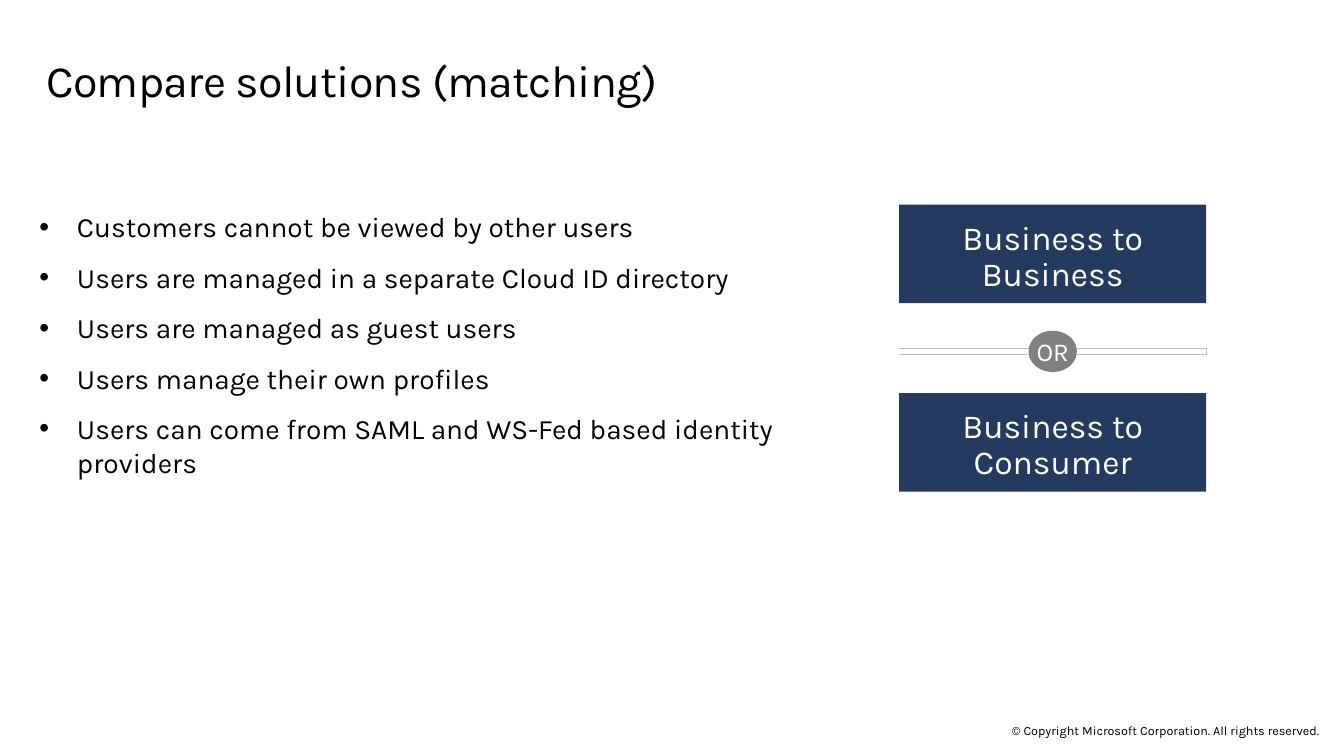
import pptx
import pptx.util
import pptx.dml.color
import pptx.enum.shapes
import pptx.enum.text

Cm = pptx.util.Cm
Pt = pptx.util.Pt
RGBColor = pptx.dml.color.RGBColor
Shape = pptx.enum.shapes.MSO_SHAPE
Align = pptx.enum.text.PP_ALIGN
Anchor = pptx.enum.text.MSO_ANCHOR

BLACK = RGBColor(0x00, 0x00, 0x00)
WHITE = RGBColor(0xFF, 0xFF, 0xFF)
NAVY = RGBColor(0x24, 0x3A, 0x5E)
GRAY = RGBColor(0x80, 0x80, 0x80)
SILVER = RGBColor(0xBF, 0xBF, 0xBF)

STATEMENTS = [
    "Customers cannot be viewed by other users",
    "Users are managed in a separate Cloud ID directory",
    "Users are managed as guest users",
    "Users manage their own profiles",
    "Users can come from SAML and WS-Fed based identity providers",
]
SOLUTIONS = ["Business to Business", "Business to Consumer"]

SOLUTION_LEFT, SOLUTION_TOP = 22.66, 5.16
SOLUTION_WIDTH, SOLUTION_HEIGHT = 7.74, 2.48
SOLUTION_PITCH = 4.75
CENTER_X = SOLUTION_LEFT + SOLUTION_WIDTH / 2
CENTER_Y = SOLUTION_TOP + (SOLUTION_PITCH + SOLUTION_HEIGHT) / 2 + 0.08


class SlideBuilder:
    font_name = "Karla"

    def __init__(self, page):
        self.page = page

    def place(self, box, left, top, width, height):
        box.left, box.top = Cm(left), Cm(top)
        box.width, box.height = Cm(width), Cm(height)

    def frame(self, box, margins, anchor=Anchor.TOP, wrap=True):
        """Set the insets (left, top, right, bottom in cm), anchor and wrap."""
        text_frame = box.text_frame
        text_frame.auto_size = pptx.enum.text.MSO_AUTO_SIZE.NONE
        text_frame.word_wrap = wrap
        text_frame.vertical_anchor = anchor
        (text_frame.margin_left, text_frame.margin_top,
         text_frame.margin_right, text_frame.margin_bottom) = map(Cm, margins)

    def style(self, box, size, color, align, line_spacing=1.0, space_after=0):
        for para in box.text_frame.paragraphs:
            para.alignment = align
            para.line_spacing = line_spacing
            para.space_before = Pt(0)
            para.space_after = Pt(space_after)
            for span in para.runs:
                span.font.name = self.font_name
                span.font.size = Pt(size)
                span.font.color.rgb = color

    def title(self, text):
        box = self.page.shapes.title
        self.place(box, 1.17, 1.22, 31.5, 1.88)
        box.text_frame.text = text
        self.frame(box, (0, 0.25, 0.41, 0.25))
        self.style(box, 32, BLACK, Align.LEFT, 0.9)
        span = box.text_frame.paragraphs[0].runs[0]
        span.font._element.set("spc", "-50")

    def bullets(self, items):
        box = self.page.placeholders[1]
        self.place(box, 0.74, 5.16, 19.99, 8.38)
        box.text_frame.text = "\n".join(items)
        self.frame(box, (0.25, 0.13, 0.25, 0.13))
        for para in box.text_frame.paragraphs:
            properties = para._p.get_or_add_pPr()
            properties.set("marL", str(Cm(0.95)))
            properties.set("indent", str(-Cm(0.95)))
        self.style(box, 20, BLACK, Align.LEFT, space_after=12)

    def filled(self, kind, left, top, width, height, color, text):
        box = self.page.shapes.add_shape(
            kind, Cm(left), Cm(top), Cm(width), Cm(height))
        box.shadow.inherit = False
        box.fill.solid()
        box.fill.fore_color.rgb = color
        box.line.fill.background()
        box.text_frame.text = text
        return box

    def solution(self, top, text):
        box = self.filled(Shape.RECTANGLE, SOLUTION_LEFT, top,
                          SOLUTION_WIDTH, SOLUTION_HEIGHT, NAVY, text)
        self.frame(box, (0.51, 0.41, 0.51, 0.41))
        self.style(box, 24, WHITE, Align.CENTER, 0.9)

    def divider(self, text):
        """Draw the open double rule with the round label at its middle."""
        left, right = Cm(SOLUTION_LEFT), Cm(SOLUTION_LEFT + SOLUTION_WIDTH)
        upper, lower = Cm(CENTER_Y - 0.07), Cm(CENTER_Y + 0.07)
        builder = self.page.shapes.build_freeform(left, lower)
        builder.add_line_segments(
            [(right, lower), (right, upper), (left, upper)], close=False)
        rule = builder.convert_to_shape()
        rule.shadow.inherit = False
        rule.fill.background()
        rule.line.color.rgb = SILVER
        rule.line.width = Pt(0.75)

        width, height = 1.22, 1.04
        label = self.filled(Shape.OVAL, CENTER_X - width / 2,
                            CENTER_Y - height / 2, width, height, GRAY, text)
        self.frame(label, (0.25, 0.13, 0.25, 0.13), Anchor.MIDDLE, wrap=False)
        self.style(label, 18.4, WHITE, Align.CENTER)

    def copyright(self, text):
        box = self.page.shapes.add_textbox(
            Cm(24.92), Cm(18.21), Cm(8.9), Cm(0.38))
        box.text_frame.text = text
        self.frame(box, (0, 0, 0, 0), Anchor.MIDDLE)
        self.style(box, 9, BLACK, Align.CENTER)


def main():
    deck = pptx.Presentation()
    deck.slide_width, deck.slide_height = Cm(33.87), Cm(19.05)
    slide = SlideBuilder(deck.slides.add_slide(deck.slide_layouts[1]))
    slide.copyright("© Copyright Microsoft Corporation. All rights reserved.")
    slide.title("Compare solutions (matching)")
    slide.bullets(STATEMENTS)
    for index, name in enumerate(SOLUTIONS):
        slide.solution(SOLUTION_TOP + index * SOLUTION_PITCH, name)
    slide.divider("OR")
    deck.save("out.pptx")


if __name__ == "__main__":
    main()
